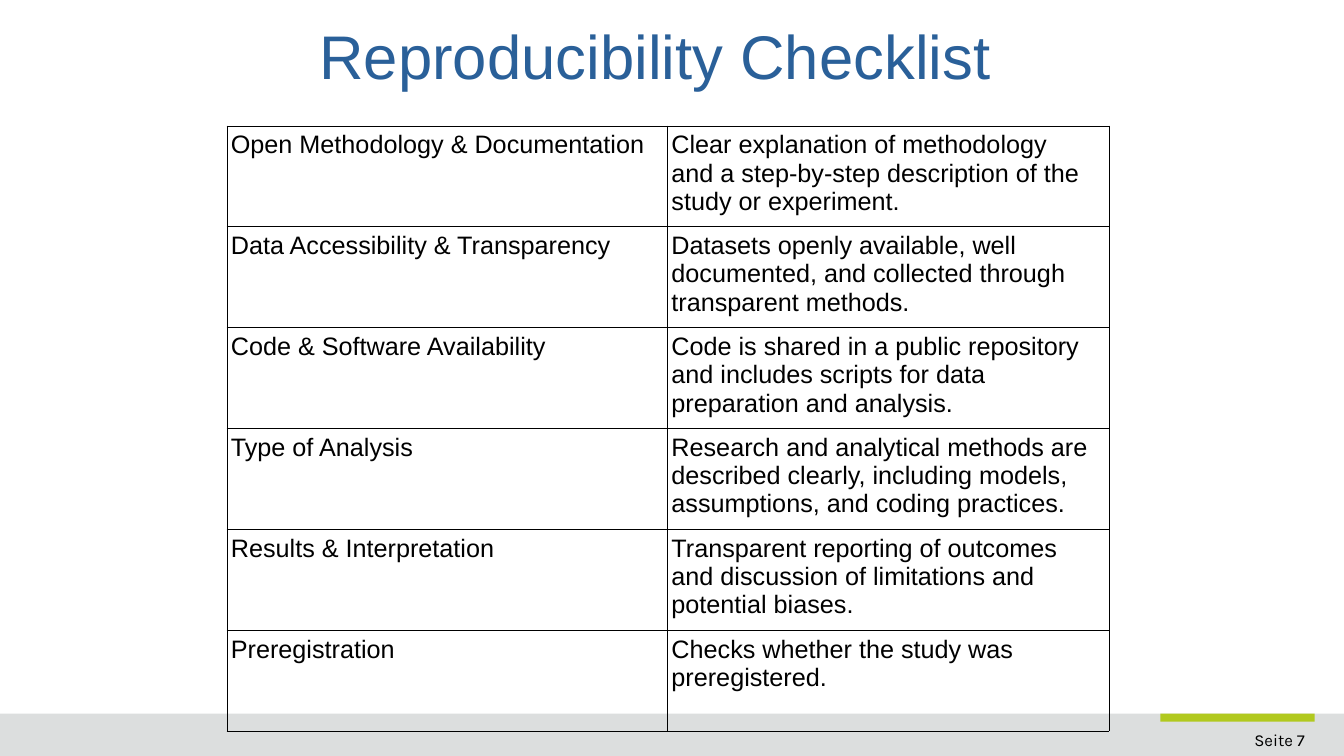
from dataclasses import dataclass

from pptx import Presentation
from pptx.dml.color import RGBColor
from pptx.enum import shapes, text
from pptx.oxml import parse_xml
from pptx.oxml.ns import nsdecls
from pptx.util import Inches, Pt

BLACK = RGBColor(0x00, 0x00, 0x00)
BLUE = RGBColor(0x2A, 0x60, 0x99)
GREY = RGBColor(0xDC, 0xDE, 0xDE)
LIME = RGBColor(0xB1, 0xC9, 0x1F)

ROW_HIGH = 1.0
COL_WIDE = (4.37, 4.38)


@dataclass
class Bar:
    left: float
    top: float
    wide: float
    high: float
    color: RGBColor


@dataclass
class Check:
    topic: str
    detail: str


BARS = [
    Bar(0, 7.08, 13.33, 0.42, GREY),
    Bar(11.51, 7.08, 1.53, 0.08, LIME),
]

CHECKS = [
    Check("Open Methodology & Documentation",
          "Clear explanation of methodology\n"
          "and a step-by-step description of the\n"
          "study or experiment."),
    Check("Data Accessibility & Transparency",
          "Datasets openly available, well documented, and collected through\n"
          "transparent methods."),
    Check("Code & Software Availability",
          "Code is shared in a public repository\n"
          "and includes scripts for data preparation and analysis."),
    Check("Type of Analysis",
          "Research and analytical methods are\n"
          "described clearly, including models,\n"
          "assumptions, and coding practices."),
    Check("Results & Interpretation",
          "Transparent reporting of outcomes\n"
          "and discussion of limitations and\n"
          "potential biases."),
    Check("Preregistration",
          "Checks whether the study was\n"
          "preregistered."),
]


def write(frame, words: str, *, size: float, font: str = "Arial",
          color: RGBColor = BLACK, align=text.PP_ALIGN.LEFT) -> None:
    frame.text = words
    for para in frame.paragraphs:
        para.alignment = align
        for run in para.runs:
            run.font.name = font
            run.font.size = Pt(size)
            run.font.color.rgb = color


def inset(box, side: float, end: float) -> None:
    box.margin_left = box.margin_right = Inches(side)
    box.margin_top = box.margin_bottom = Inches(end)


def add_bar(slide, bar: Bar) -> None:
    shape = slide.shapes.add_shape(
        shapes.MSO_SHAPE.RECTANGLE, Inches(bar.left), Inches(bar.top),
        Inches(bar.wide), Inches(bar.high))
    shape.shadow.inherit = False
    shape.fill.solid()
    shape.fill.fore_color.rgb = bar.color
    shape.line.fill.background()


def add_page(slide) -> None:
    box = slide.shapes.add_textbox(
        Inches(11.09), Inches(7.17), Inches(1.95), Inches(0.33))
    frame = box.text_frame
    frame.word_wrap = True
    frame.vertical_anchor = text.MSO_ANCHOR.MIDDLE
    write(frame, "Seite 7", size=12, font="Karla", align=text.PP_ALIGN.RIGHT)


def set_title(slide) -> None:
    title = slide.shapes.title
    title.left, title.top = Inches(0.58), Inches(0.04)
    title.width, title.height = Inches(11.84), Inches(1)
    frame = title.text_frame
    frame.word_wrap = True
    frame.auto_size = text.MSO_AUTO_SIZE.NONE
    frame.vertical_anchor = text.MSO_ANCHOR.MIDDLE
    inset(frame, 0, 0)
    write(frame, "Reproducibility Checklist", size=44, color=BLUE,
          align=text.PP_ALIGN.CENTER)


def add_border(cell) -> None:
    props = cell._tc.get_or_add_tcPr()
    for side in ("lnL", "lnR", "lnT", "lnB"):
        props.append(parse_xml(
            f'<a:{side} {nsdecls("a")} w="{Pt(0.57)}"><a:solidFill>'
            f'<a:srgbClr val="{BLACK}"/></a:solidFill></a:{side}>'))


def fill_cell(cell, words: str) -> None:
    write(cell.text_frame, words, size=18)
    inset(cell, 0.04, 0.05)
    cell.vertical_anchor = text.MSO_ANCHOR.TOP
    add_border(cell)
    cell.fill.background()


def add_checks(slide) -> None:
    table = slide.shapes.add_table(
        len(CHECKS), len(COL_WIDE), Inches(2.25), Inches(1.25),
        Inches(sum(COL_WIDE)), Inches(ROW_HIGH * len(CHECKS))).table
    table.first_row = table.horz_banding = False
    for col, wide in zip(table.columns, COL_WIDE):
        col.width = Inches(wide)
    for row, check in zip(table.rows, CHECKS):
        row.height = Inches(ROW_HIGH)
        for cell, words in zip(row.cells, (check.topic, check.detail)):
            fill_cell(cell, words)


def main() -> None:
    deck = Presentation()
    deck.slide_width, deck.slide_height = Inches(13.33), Inches(7.5)
    slide = deck.slides.add_slide(deck.slide_layouts.get_by_name("Title Only"))
    for bar in BARS:
        add_bar(slide, bar)
    add_page(slide)
    set_title(slide)
    add_checks(slide)
    deck.save("out.pptx")


if __name__ == "__main__":
    main()
